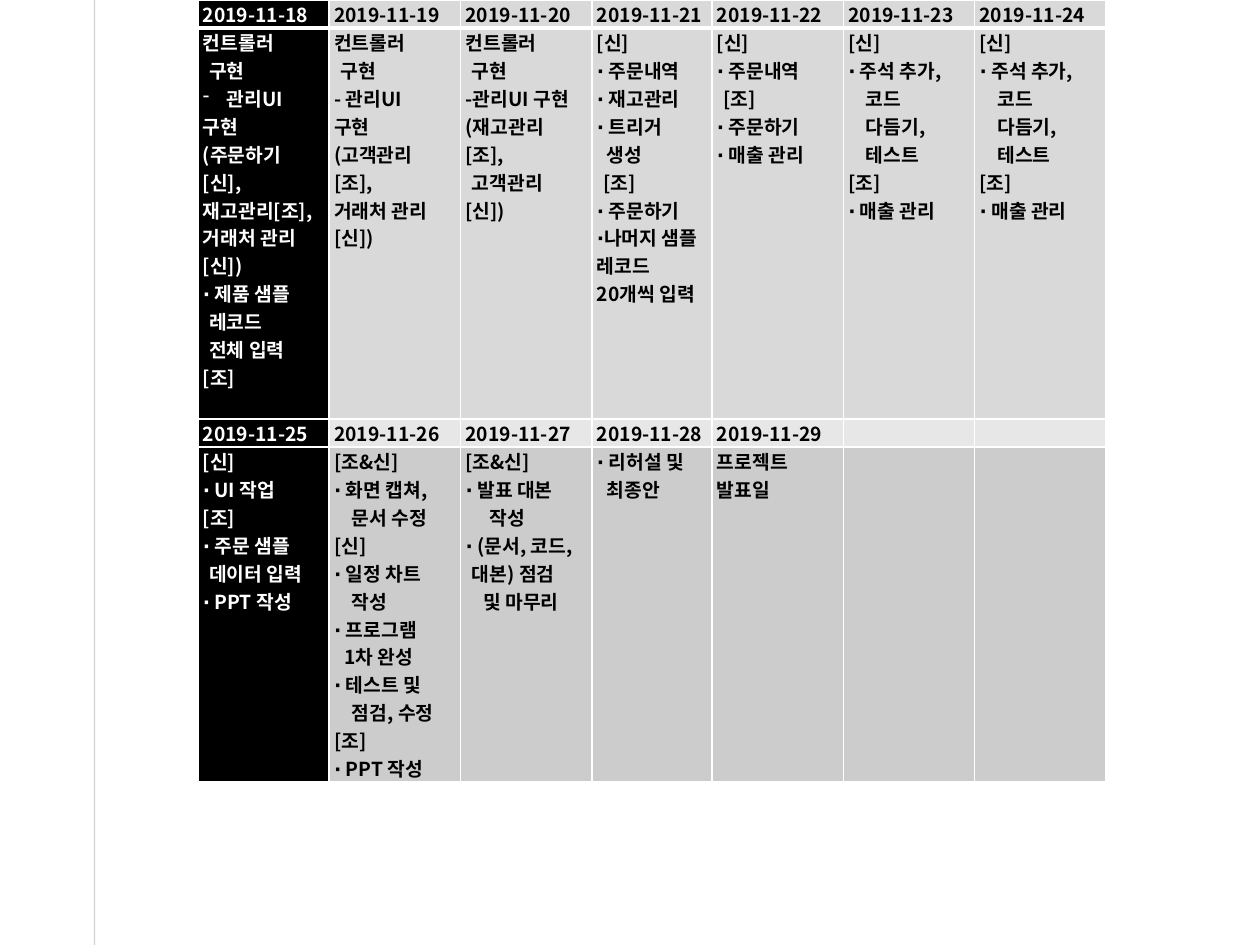
from lxml.etree import SubElement
from pptx import Presentation
from pptx.dml.color import RGBColor
from pptx.enum.shapes import MSO_CONNECTOR
from pptx.oxml.ns import qn
from pptx.util import Inches, Pt

FONT = "Noto Sans CJK KR"
SIZE = Pt(11)
# First-line indents in inches; a negative one hangs a dash bullet
NARROW, WIDE, SUB, SUB_WIDE, DASH = 0.05, 0.08, 0.14, 0.19, -0.19

CLEANUP = ["[신]", "∙ 주석 추가,", ("코드", SUB), ("다듬기,", SUB), ("테스트", SUB),
           "[조]", "∙ 매출 관리"]

# Each week: header fill, body fill, header bottom border, then (date, tasks) per day
WEEKS = [
    ("D9D9D9", "D9D9D9", 3, [
        ("2019-11-18", ["컨트롤러", ("구현", NARROW), ("관리UI", DASH), "구현", "(주문하기",
                        "[신],", "재고관리[조],", "거래처 관리", "[신])", "∙ 제품 샘플",
                        ("레코드", NARROW), ("전체 입력", NARROW), "[조]"]),
        ("2019-11-19", ["컨트롤러", ("구현", NARROW), "- 관리UI", "구현", "(고객관리",
                        "[조],", "거래처 관리", "[신])"]),
        ("2019-11-20", ["컨트롤러", ("구현", NARROW), "-관리UI 구현", "(재고관리", "[조],",
                        ("고객관리", NARROW), "[신])"]),
        ("2019-11-21", ["[신]", "∙ 주문내역", "∙ 재고관리", "∙ 트리거", ("생성", WIDE),
                        ("[조]", NARROW), "∙ 주문하기", "∙나머지 샘플 레코드",
                        "20개씩 입력"]),
        ("2019-11-22", ["[신]", "∙ 주문내역", ("[조]", NARROW), "∙ 주문하기",
                        "∙ 매출 관리"]),
        ("2019-11-23", CLEANUP),
        ("2019-11-24", CLEANUP),
    ]),
    ("E7E7E7", "CCCCCC", 1, [
        ("2019-11-25", ["[신]", "∙ UI 작업", "[조]", "∙ 주문 샘플",
                        ("데이터 입력", NARROW), "∙ PPT 작성"]),
        ("2019-11-26", ["[조&신]", "∙ 화면 캡쳐,", ("문서 수정", SUB), "[신]", "∙ 일정 차트",
                        ("작성", SUB), "∙ 프로그램", ("1차 완성", WIDE), "∙ 테스트 및",
                        ("점검, 수정", SUB), "[조]", "∙ PPT 작성"]),
        ("2019-11-27", ["[조&신]", "∙ 발표 대본", ("작성", SUB_WIDE), "∙ (문서, 코드,",
                        ("대본) 점검", NARROW), ("및 마무리", SUB)]),
        ("2019-11-28", ["∙ 리허설 및", ("최종안", WIDE)]),
        ("2019-11-29", ["프로젝트", "발표일"]),
        ("", []),
        ("", []),
    ]),
]
TABLE_WIDTH = 7.21
COLUMN_SHARES = [1.04, 1.04, 1.04, 0.95, 1.04, 1.04, 1.04]
HEADER_HEIGHT, BODY_HEIGHT = 0.11, 1.32
MARGINS = {"margin_left": Inches(0.04), "margin_right": Inches(0.04),
           "margin_top": 0, "margin_bottom": 0}


def color(value):
    return RGBColor.from_string(value)


def add_border(cell, side, width):
    properties = cell._tc.get_or_add_tcPr()
    border = SubElement(properties, qn(f"a:ln{side}"), w=str(Pt(width)))
    SubElement(SubElement(border, qn("a:solidFill")), qn("a:srgbClr"), val="FFFFFF")


def write_line(paragraph, text, indent, ink):
    properties = paragraph._p.get_or_add_pPr()
    properties.set("hangingPunct", "0")  # closing commas wrap inside the cell
    if indent:
        properties.set("marL", str(Inches(max(-indent, 0))))
        properties.set("indent", str(Inches(indent)))
    if indent < 0:
        SubElement(properties, qn("a:buChar"), char="-")
    run = paragraph.add_run()
    run.text = text
    for name, value in {"size": SIZE, "bold": True, "name": FONT}.items():
        setattr(run.font, name, value)
    run.font.color.rgb = color(ink)
    SubElement(run._r.get_or_add_rPr(), qn("a:ea"), typeface=FONT)


def fill_cell(cell, lines, fill, ink, bottom=1):
    for name, value in MARGINS.items():
        setattr(cell, name, value)
    for side, width in {"L": 1, "R": 1, "T": 1, "B": bottom}.items():
        add_border(cell, side, width)
    cell.fill.solid()
    cell.fill.fore_color.rgb = color(fill)
    frame = cell.text_frame
    for number, line in enumerate(lines):
        paragraph = frame.add_paragraph() if number else frame.paragraphs[0]
        text, indent = (line, 0) if isinstance(line, str) else line
        write_line(paragraph, text, indent, ink)
    if not lines:  # keeps an empty cell from stretching its row
        SubElement(frame.paragraphs[0]._p, qn("a:endParaRPr"), sz=str(int(SIZE.pt * 100)))


def add_margin_line(slide):
    rule = slide.shapes.add_connector(MSO_CONNECTOR.STRAIGHT, Inches(0.75), Inches(-0.41),
                                      Inches(0.75), Inches(7.77))
    rule.line.width = Pt(0.75)
    rule.line.color.rgb = color("A6A6A6")
    shade = rule._element.spPr.find(f".//{qn('a:srgbClr')}")
    SubElement(shade, qn("a:alpha"), val="50000")
    SubElement(rule._element.spPr, qn("a:effectLst"))


def add_schedule(slide):
    heights = [HEADER_HEIGHT, BODY_HEIGHT] * len(WEEKS)
    schedule = slide.shapes.add_table(
        len(heights), len(COLUMN_SHARES), Inches(1.57), 0,
        Inches(TABLE_WIDTH), Inches(sum(heights))).table
    schedule.horz_banding = False
    for column, share in zip(schedule.columns, COLUMN_SHARES):
        column.width = Inches(TABLE_WIDTH * share / sum(COLUMN_SHARES))
    for row, height in zip(schedule.rows, heights):
        row.height = Inches(height)
    for week, (header_fill, body_fill, header_bottom, days) in enumerate(WEEKS):
        for day, (date, tasks) in enumerate(days):
            ink = "000000" if day else "FFFFFF"
            fills = (header_fill, body_fill) if day else ("000000", "000000")
            fill_cell(schedule.cell(2 * week, day), [date] if date else [],
                      fills[0], ink, header_bottom)
            fill_cell(schedule.cell(2 * week + 1, day), tasks, fills[1], ink)


def main():
    deck = Presentation()
    deck.slide_width, deck.slide_height = Inches(10), Inches(7.5)
    slide = deck.slides.add_slide(deck.slide_layouts[6])
    add_margin_line(slide)
    add_schedule(slide)
    deck.save("out.pptx")


if __name__ == "__main__":
    main()
